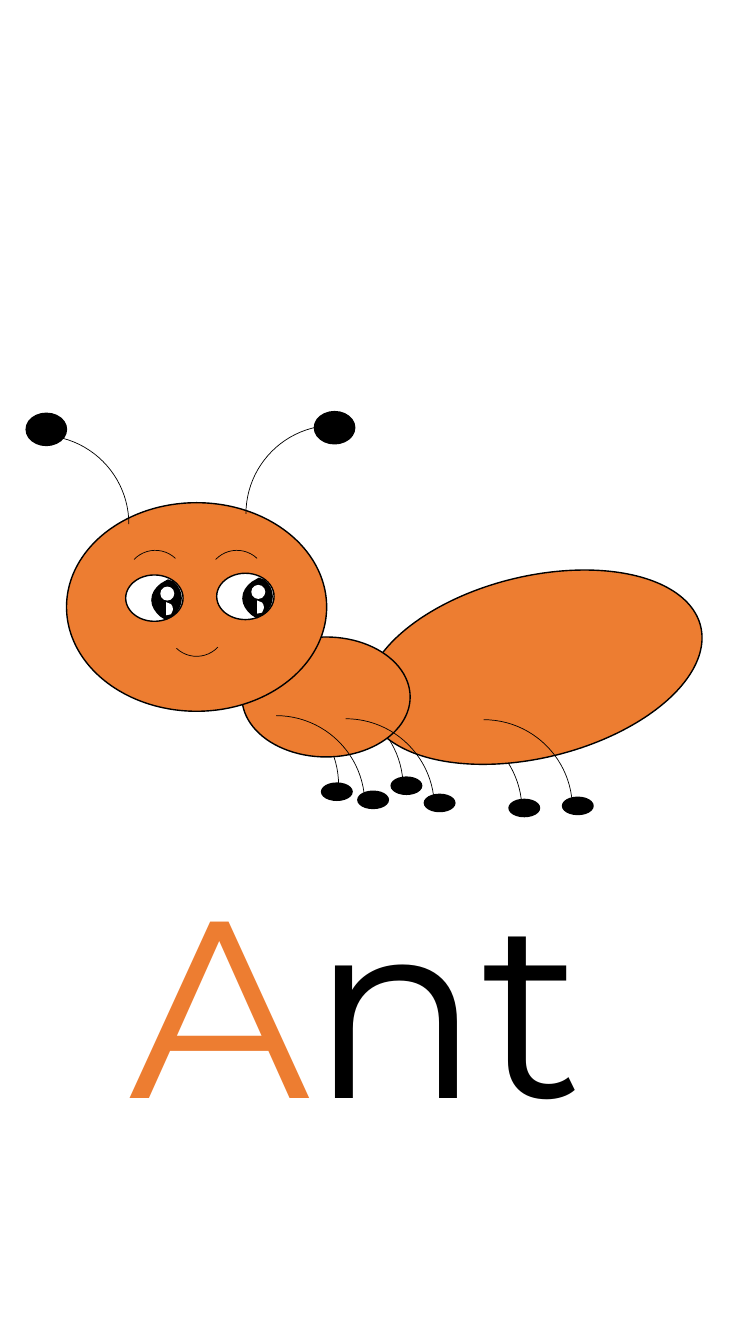
from lxml.etree import SubElement
from pptx import Presentation
from pptx.dml.color import RGBColor
from pptx.enum.shapes import MSO_SHAPE
from pptx.enum.text import MSO_ANCHOR, MSO_AUTO_SIZE, PP_ALIGN
from pptx.oxml.ns import qn
from pptx.util import Pt

ORANGE, BLACK, WHITE = "ED7D31", "000000", "FFFFFF"
LIMB, TIP, FOOT, BROW = 126.7, (28.8, 23), (21.8, 12.3), 41.8
TILT = 43.5

# Outlines within an eye: pairs are corners, sixes are Bezier curves
PUPIL = [(30.2, 3.6), (33.8, 5),
         (37.4, 7.9, 39.6, 12.2, 39.6, 16.6),
         (39.6, 21.6, 37.4, 25.2, 33.8, 28.8),
         (28.8, 31.7), (25.2, 29.5),
         (21.6, 26.6, 18.7, 22.3, 18.7, 18),
         (18.7, 13, 21.6, 9.4, 25.2, 6.5)]
GLOW = [(28.8, 19.4), (32.4, 20.9),
        (33.1, 21.6, 33.8, 23, 33.8, 24.5),
        (33.8, 25.2, 33.1, 26.6, 32.4, 28.1),
        (28.8, 28.8)]


def color(code):
    return RGBColor.from_string(code)


def style(shape, fill=None, width=1):
    shape.shadow.inherit = False
    if fill:
        shape.fill.solid()
        shape.fill.fore_color.rgb = color(fill)
    else:
        shape.fill.background()
    if width:
        shape.line.width = Pt(width)
        shape.line.color.rgb = color(BLACK)
    else:
        shape.line.fill.background()


def oval(group, x, y, w, h, fill, width=1, turn=0):
    shape = group.shapes.add_shape(MSO_SHAPE.OVAL, Pt(x), Pt(y), Pt(w), Pt(h))
    shape.rotation = turn
    style(shape, fill, width)


def arc(group, x, y, size, start, turn=0):
    """Draw a quarter circle clockwise from the start angle in degrees."""
    shape = group.shapes.add_shape(MSO_SHAPE.ARC, Pt(x), Pt(y), Pt(size), Pt(size))
    for i, angle in enumerate((start, start + 90)):
        shape.adjustments[i] = angle % 360 * 0.6
    shape.rotation = turn
    style(shape, width=0.5)


def outline(group, x, y, parts, fill, width):
    points = [(Pt(x + part[i]), Pt(y + part[i + 1]))
              for part in parts for i in range(0, len(part), 2)]
    form = group.shapes.build_freeform(*points[0])
    form.add_line_segments(points[1:], close=True)
    shape = form.convert_to_shape()
    # Join each run of three segments into one curve
    track = next(shape._element.iter(qn("a:path")))
    lines = iter(track.findall(qn("a:lnTo")))
    for part in parts[1:]:
        first = next(lines)
        if len(part) == 6:
            curve = SubElement(track, qn("a:cubicBezTo"))
            first.addprevious(curve)
            for line in (first, next(lines), next(lines)):
                curve.append(line[0])
                track.remove(line)
    style(shape, fill, width)


def eye(group, x, y):
    oval(group, x, y, 41, 33.1, WHITE)
    outline(group, x, y, PUPIL, BLACK, 1)
    oval(group, x + 24.7, y + 8.3, 10, 10, WHITE, 0)
    outline(group, x, y, GLOW, WHITE, 0)


def face(group, x, y):
    for left in (58.3, 0):
        arc(group, x + left, y, BROW, 180, TILT)
    for left, top in ((64.8, 16.4), (-0.2, 17.6)):
        eye(group, x + left, y + top)
    arc(group, x + 29.5, y + 33.9, BROW, 0, TILT)  # smile


def ant(slide, x, y):
    group = slide.shapes.add_group_shape()
    # Far legs
    for left, top in ((97.2, 203.5), (143.3, 205), (228.2, 221.5)):
        arc(group, x + left, y + top, LIMB, 270)
    # Abdomen, thorax, head
    for left, top, w, h, turn in ((240.5, 117.8, 245.5, 129.6, -13.8),
                                  (154.8, 161, 120.2, 85.7, 0),
                                  (29.5, 65.1, 185.8, 149, 0)):
        oval(group, x + left, y + top, w, h, ORANGE, turn=turn)
    # Near legs and antennae
    for left, top, start in ((264.2, 220.1, 270), (165.6, 219.4, 270),
                             (115.9, 217.2, 270), (157.7, 9.8, 180),
                             (-52.6, 17, 270)):
        arc(group, x + left, y + top, LIMB, start)
    # Antenna tips and feet
    for left, top in ((206.6, 0), (0.7, 1.2)):
        oval(group, x + left, y + top, *TIP, BLACK)
    for left, top in ((211.7, 265.4), (237.6, 271.2), (261.4, 261.1),
                      (285.1, 273.4), (345.6, 277), (383.8, 275.5)):
        oval(group, x + left, y + top, *FOOT, BLACK)
    face(group, x + 72, y + 99.1)


def word(slide, x, y, w, h):
    title = slide.shapes.title
    for name, value in dict(left=x, top=y, width=w, height=h).items():
        setattr(title, name, Pt(value))
    frame = title.text_frame
    looks = dict(word_wrap=True, auto_size=MSO_AUTO_SIZE.NONE,
                 vertical_anchor=MSO_ANCHOR.TOP)
    for name, value in looks.items():
        setattr(frame, name, value)
    line = frame.paragraphs[0]
    line.alignment = PP_ALIGN.LEFT
    for text, code in (("A", ORANGE), ("nt", BLACK)):
        run = line.add_run()
        run.text = text
        for name, value in dict(name="Montserrat", size=Pt(180)).items():
            setattr(run.font, name, value)
        run.font.color.rgb = color(code)


def main():
    deck = Presentation()
    deck.slide_width, deck.slide_height = Pt(540), Pt(960)
    slide = deck.slides.add_slide(deck.slide_layouts[5])
    ant(slide, 18, 294)
    word(slide, 85.3, 601.2, 454, 225.4)
    deck.save("out.pptx")


if __name__ == "__main__":
    main()
